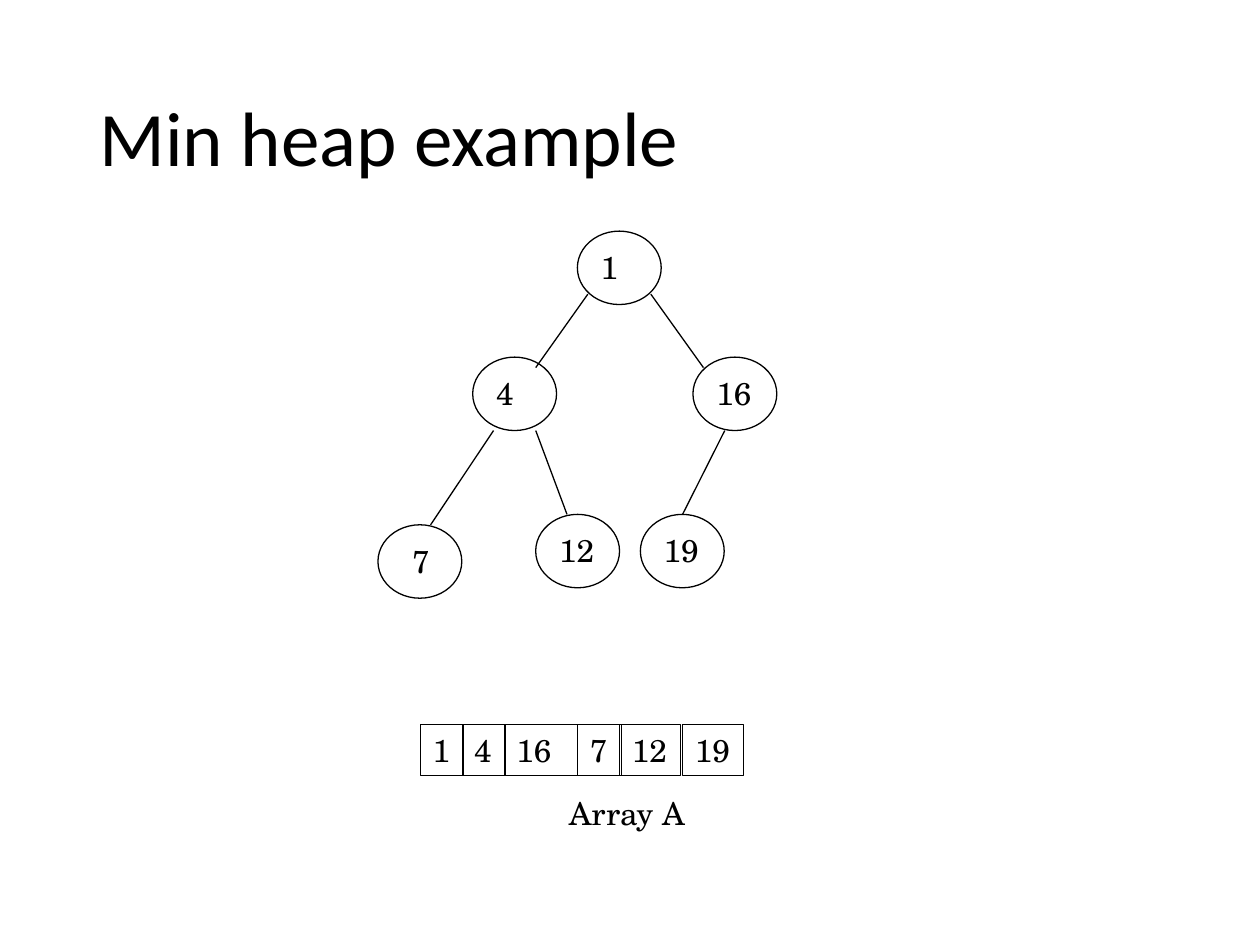
from dataclasses import dataclass

from lxml import etree
from pptx import Presentation
from pptx.dml.color import RGBColor
from pptx.enum.shapes import MSO_CONNECTOR, MSO_SHAPE
from pptx.enum.text import MSO_ANCHOR, MSO_AUTO_SIZE, PP_ALIGN
from pptx.oxml.ns import qn
from pptx.util import Cm, Pt

LEFT = PP_ALIGN.LEFT
TOP, MIDDLE = MSO_ANCHOR.TOP, MSO_ANCHOR.MIDDLE
GROW, NO_RESIZE = MSO_AUTO_SIZE.SHAPE_TO_FIT_TEXT, MSO_AUTO_SIZE.NONE
OVAL, RECTANGLE = MSO_SHAPE.OVAL, MSO_SHAPE.RECTANGLE
STRAIGHT = MSO_CONNECTOR.STRAIGHT


@dataclass(frozen=True)
class Theme:
    """Colours, fonts, type sizes and line widths of the slide."""
    ink: RGBColor = RGBColor(0, 0, 0)
    title_font: str = "Calibri"
    body_font: str = "TeX Gyre Schola"
    title_size: Pt = Pt(44)
    body_size: Pt = Pt(18)
    tree_line: Pt = Pt(0.75)
    cell_line: Pt = Pt(0.25)


THEME = Theme()
NODE_WIDTH, NODE_HEIGHT = 1.69, 1.48
TEXT_HEIGHT = 1.02
LABEL_OFFSET = 0.22
ARRAY_TOP = 14.61

NODES = [
    ("1", 11.64, 4.66, LABEL_OFFSET),
    ("4", 9.53, 7.2, LABEL_OFFSET),
    ("16", 13.97, 7.2, LABEL_OFFSET),
    ("12", 10.8, 10.37, LABEL_OFFSET),
    ("7", 7.62, 10.58, 2 * LABEL_OFFSET),
    ("19", 12.91, 10.37, LABEL_OFFSET),
]
EDGES = [
    (11.85, 5.93, 10.8, 7.41),
    (9.95, 8.68, 8.68, 10.58),
    (10.8, 8.68, 11.43, 10.37),
    (13.12, 5.93, 14.18, 7.41),
    (14.61, 8.68, 13.76, 10.37),
]
CELLS = [
    ("1", 8.47, 0.88),
    ("4", 9.31, 0.87),
    ("16", 10.16, 1.48),
    ("7", 11.64, 0.88),
    ("12", 12.49, 1.23),
    ("19", 13.76, 1.23),
]


def write_text(shape, text, font_name, size, anchor, wrap, auto_size):
    """Put one left-aligned line of text in a shape."""
    frame = shape.text_frame
    frame.text = text
    frame.word_wrap = wrap
    frame.auto_size = auto_size
    frame.vertical_anchor = anchor
    paragraph = frame.paragraphs[0]
    paragraph.alignment = LEFT
    paragraph.font.name = font_name
    paragraph.font.size = size
    paragraph.font.color.rgb = THEME.ink
    return paragraph


def write_body(shape, text, wrap=False):
    """Write text in the body style."""
    write_text(shape, text, THEME.body_font, THEME.body_size, TOP, wrap, GROW)


def set_title(slide, text):
    """Place and format the title placeholder."""
    title = slide.shapes.title
    title.left, title.top = Cm(1.75), Cm(1.02)
    title.width, title.height = Cm(21.9), Cm(3.68)
    paragraph = write_text(title, text, THEME.title_font, THEME.title_size,
                           MIDDLE, True, NO_RESIZE)
    paragraph.line_spacing = 0.9


def add_outline(slide, kind, left, top, width, height, line_width):
    """Add an unfilled shape with a thin outline."""
    shape = slide.shapes.add_shape(kind, Cm(left), Cm(top), Cm(width), Cm(height))
    shape.shadow.inherit = False
    shape.fill.background()
    shape.line.color.rgb = THEME.ink
    shape.line.width = line_width
    return shape


def add_label(slide, text, left, top, width, wrap=False):
    """Add a body text box."""
    label = slide.shapes.add_textbox(Cm(left), Cm(top), Cm(width), Cm(TEXT_HEIGHT))
    write_body(label, text, wrap)


def add_node(slide, key, left, top, offset):
    """Add a heap node with its key."""
    add_outline(slide, OVAL, left, top, NODE_WIDTH, NODE_HEIGHT, THEME.tree_line)
    width = 0.87 if len(key) == 1 else 1.23
    add_label(slide, key, left + offset, top + LABEL_OFFSET, width)


def add_edge(slide, *ends):
    """Add a line between a parent and a child."""
    edge = slide.shapes.add_connector(STRAIGHT, *map(Cm, ends))
    edge.line.color.rgb = THEME.ink
    edge.line.width = THEME.tree_line
    etree.SubElement(edge._element.spPr, qn("a:effectLst"))


def add_cell(slide, key, left, width):
    """Add one cell of the array."""
    cell = add_outline(slide, RECTANGLE, left, ARRAY_TOP, width, TEXT_HEIGHT,
                       THEME.cell_line)
    write_body(cell, key)


def main():
    """Build the min heap slide."""
    presentation = Presentation()
    presentation.slide_width, presentation.slide_height = Cm(25.4), Cm(19.05)
    slide = presentation.slides.add_slide(presentation.slide_layouts[5])
    set_title(slide, "Min heap example")
    for cell in CELLS:
        add_cell(slide, *cell)
    add_label(slide, "Array A", 11.22, 15.88, 3.6, wrap=True)
    for node in NODES:
        add_node(slide, *node)
    for edge in EDGES:
        add_edge(slide, *edge)
    presentation.save("out.pptx")


if __name__ == "__main__":
    main()
